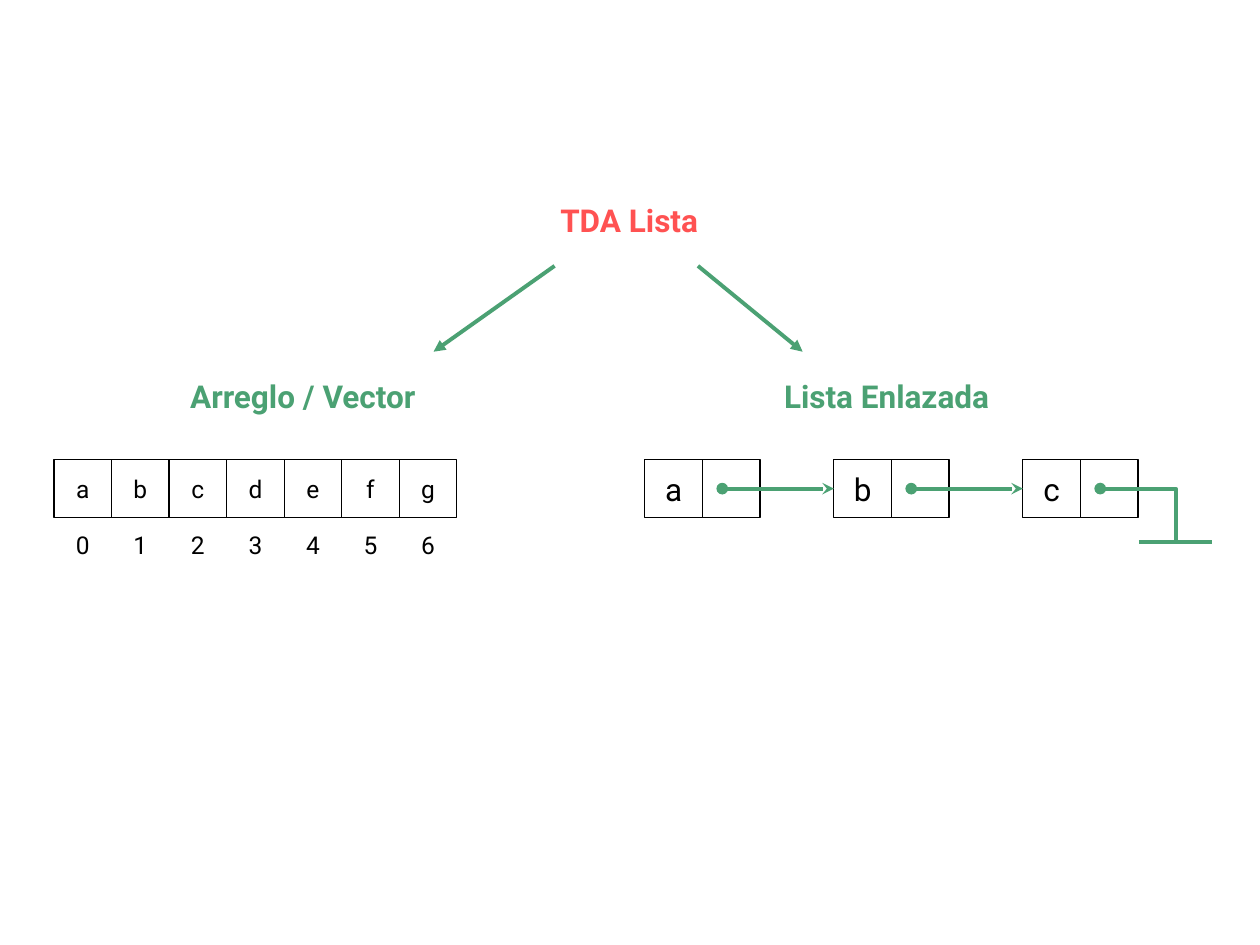
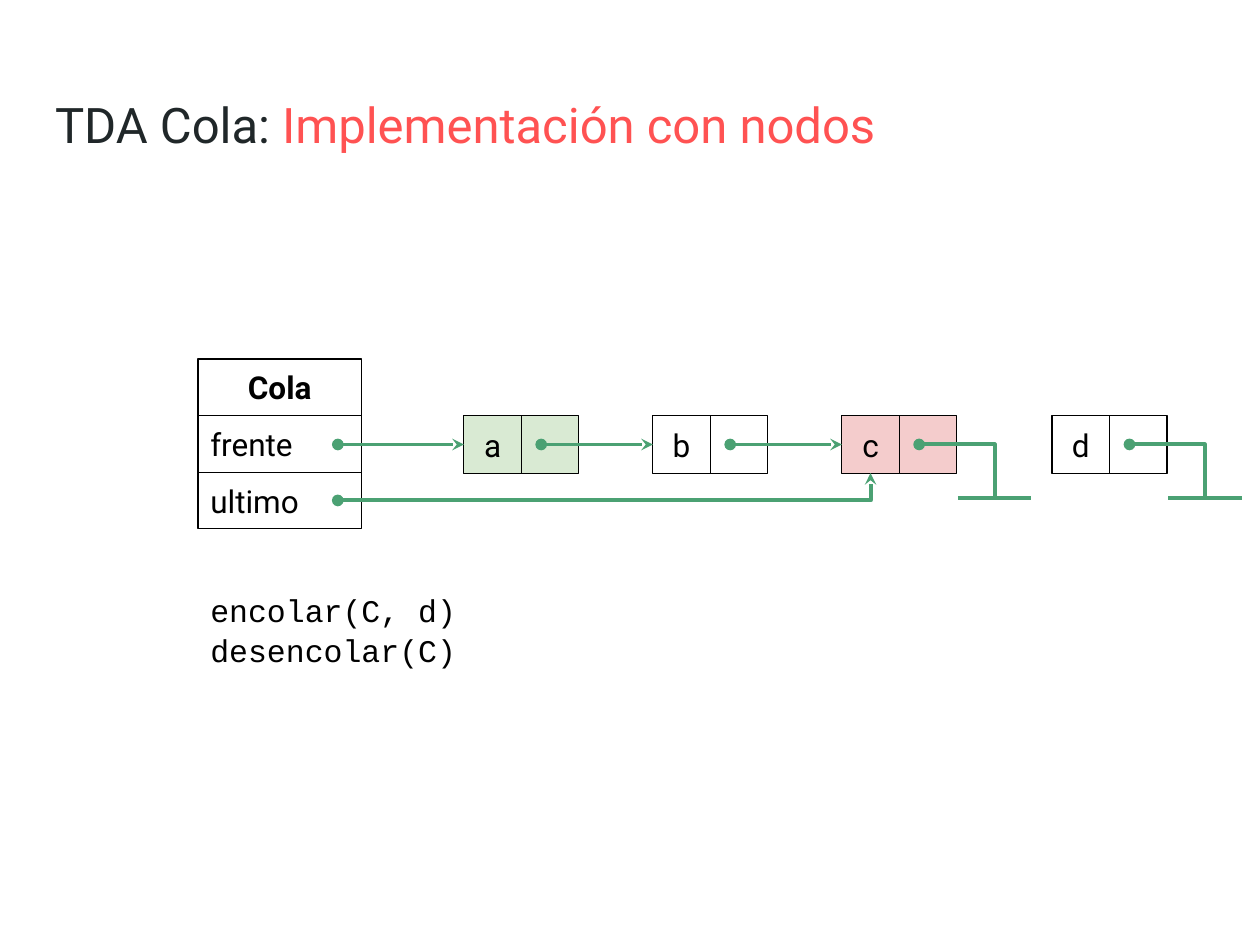
from lxml import etree
from pptx import Presentation
from pptx import util as u
from pptx.dml.color import RGBColor
from pptx.enum import shapes, text
from pptx.oxml.ns import qn

# ---- Content (lengths in cm) ----
COLORS = {
    "ink": "000000", "title": "202729", "green": "4BA173", "red": "FF5252",
    "white": "FFFFFF", "front": "D9EAD3", "last": "F4CCCC",
}
FONT, CODE_FONT = "Roboto", "Courier New"

HEADINGS = [  # text, left, top, width, colour
    ("TDA Lista", 8.61, 4.04, 8.15, "red"),
    ("Arreglo / Vector", 2.03, 7.59, 8.15, "green"),
    ("Lista Enlazada", 13.0, 7.59, 9.75, "green"),
]
BRANCHES = [((11.18, 5.36), (8.74, 7.09)), ((14.07, 5.36), (16.18, 7.09))]
ARRAY_VALUES = "abcdefg"
LINKED_NODES = [("a", "white"), ("b", "white"), ("c", "white")]

QUEUE_TITLE = [("TDA Cola: ", "title"), ("Implementación con nodos", "red")]
QUEUE_ROWS = ["Cola", "frente", "ultimo"]
QUEUE_NODES = [("a", "front"), ("b", "white"), ("c", "last")]
NEW_NODE = [("d", "white")]
OPERATIONS = ["encolar(C, d)", "desencolar(C)"]

# ---- Measures ----
CELL = 1.16
NODE_STEP = 3.81
POINTER_INSET = 0.4
GROUND_DX, GROUND_DY, GROUND_HALF = 1.52, 1.07, 0.74
ARRAY_LEFT, LINKED_LEFT, LISTS_TOP = 1.09, 13.0, 9.27
QUEUE_LEFT, QUEUE_TOP, QUEUE_WIDTH, ROW_HEIGHT = 3.99, 7.24, 3.3, 1.14
QUEUE_NODES_LEFT, NEW_NODE_LEFT, QUEUE_NODES_TOP = 9.35, 21.21, 8.38
QUEUE_POINTER_X = 6.81


# ---- Text and boxes ----
def rgb(name):
    return RGBColor.from_string(COLORS[name])


def add_run(paragraph, words, size, color="ink", font=FONT, bold=False):
    run = paragraph.add_run()
    run.text = words
    run.font.size, run.font.name, run.font.bold = u.Pt(size), font, bold
    run.font.color.rgb = rgb(color)


def prepare_frame(frame, anchor):
    frame.word_wrap = True
    frame.auto_size = text.MSO_AUTO_SIZE.NONE
    frame.vertical_anchor = anchor
    frame.margin_left = frame.margin_right = u.Cm(0.25)
    frame.margin_top = frame.margin_bottom = u.Cm(0.25)


def add_box(slide, at, words="", size=18, color="ink", fill=None, outlined=True,
            align=text.PP_ALIGN.CENTER, bold=False):
    box = slide.shapes.add_shape(shapes.MSO_SHAPE.RECTANGLE, *map(u.Cm, at))
    box.shadow.inherit = False
    if fill:
        box.fill.solid()
        box.fill.fore_color.rgb = rgb(fill)
    else:
        box.fill.background()
    if outlined:
        box.line.color.rgb = rgb("ink")
        box.line.width = u.Pt(0.75)
    else:
        box.line.fill.background()
    if words:
        prepare_frame(box.text_frame, text.MSO_ANCHOR.MIDDLE)
        paragraph = box.text_frame.paragraphs[0]
        paragraph.alignment = align
        add_run(paragraph, words, size, color, bold=bold)
    return box


def add_label(slide, at, lines, size, font=FONT, align=text.PP_ALIGN.LEFT, spacing=1.0):
    frame = slide.shapes.add_textbox(*map(u.Cm, at)).text_frame
    prepare_frame(frame, text.MSO_ANCHOR.TOP)
    for i, line in enumerate(lines):
        paragraph = frame.add_paragraph() if i else frame.paragraphs[0]
        paragraph.alignment, paragraph.line_spacing = align, spacing
        add_run(paragraph, line, size, font=font)


# ---- Lines ----
def style_line(shape, head=None, tail=None):
    shape.line.color.rgb = rgb("green")
    shape.line.width = u.Pt(2.25)
    ln = shape.line._get_or_add_ln()
    for tag, kind in (("a:headEnd", head), ("a:tailEnd", tail)):
        if kind:
            etree.SubElement(ln, qn(tag), type=kind, w="med", len="med")


def add_link(slide, start, end, head=None, tail=None,
             kind=shapes.MSO_CONNECTOR.STRAIGHT):
    link = slide.shapes.add_connector(kind, *map(u.Cm, start + end))
    style_line(link, head, tail)
    etree.SubElement(link._element.spPr, qn("a:effectLst"))
    return link


def point_to(slide, start, cell, end):
    """Pointer from a dot to the left side of a cell."""
    add_link(slide, start, end, "oval", "stealth").end_connect(cell, 1)


def add_null(slide, x, y):
    """Pointer that bends down to a ground line."""
    ground_x, ground_y = x + GROUND_DX, y + GROUND_DY
    builder = slide.shapes.build_freeform(u.Cm(x), u.Cm(y))
    builder.add_line_segments(
        [(u.Cm(ground_x), u.Cm(y)), (u.Cm(ground_x), u.Cm(ground_y))], close=False)
    bend = builder.convert_to_shape()
    bend.shadow.inherit = False
    bend.fill.background()
    style_line(bend, head="oval")
    add_link(slide, (ground_x - GROUND_HALF, ground_y), (ground_x + GROUND_HALF, ground_y))


def add_linked_list(slide, nodes, left, top):
    """Draw value and pointer cells, link them, and return the value cells."""
    lefts = [left + i * NODE_STEP for i in range(len(nodes))]
    cells = []
    for x, (value, fill) in zip(lefts, nodes):
        cells.append(add_box(slide, (x, top, CELL, CELL), value, fill=fill))
        add_box(slide, (x + CELL, top, CELL, CELL), fill=fill)
    middle = top + CELL / 2
    dots = [x + CELL + POINTER_INSET for x in lefts]
    for dot, next_left, next_cell in zip(dots, lefts[1:], cells[1:]):
        point_to(slide, (dot, middle), next_cell, (next_left, middle))
    add_null(slide, dots[-1], middle)
    return cells


# ---- Slides ----
def build_list_slide(prs):
    slide = prs.slides.add_slide(prs.slide_layouts[6])
    for words, left, top, width, color in HEADINGS:
        add_box(slide, (left, top, width, 0.79), words, color=color, fill="white",
                outlined=False, bold=True)
    for start, end in BRANCHES:
        add_link(slide, start, end, tail="triangle")

    # Array with its indices
    for i, value in enumerate(ARRAY_VALUES):
        x = ARRAY_LEFT + i * CELL
        add_box(slide, (x, LISTS_TOP, CELL, CELL), value, size=14, fill="white")
        add_label(slide, (x, LISTS_TOP + CELL, CELL, 1.04), [str(i)], 14,
                  align=text.PP_ALIGN.CENTER)

    add_linked_list(slide, LINKED_NODES, LINKED_LEFT, LISTS_TOP)


def build_queue_slide(prs):
    slide = prs.slides.add_slide(prs.slide_layouts[5])
    title = slide.shapes.title
    title.left, title.top, title.width, title.height = map(u.Cm, (0.86, 1.65, 23.67, 2.11))
    prepare_frame(title.text_frame, text.MSO_ANCHOR.TOP)
    heading = title.text_frame.paragraphs[0]
    heading.alignment = text.PP_ALIGN.LEFT
    for words, color in QUEUE_TITLE:
        add_run(heading, words, 28, color)

    # Queue record
    for i, field in enumerate(QUEUE_ROWS):
        is_name = i == 0
        add_box(slide, (QUEUE_LEFT, QUEUE_TOP + i * ROW_HEIGHT, QUEUE_WIDTH, ROW_HEIGHT),
                field, bold=is_name,
                align=text.PP_ALIGN.CENTER if is_name else text.PP_ALIGN.LEFT)

    # Nodes
    cells = add_linked_list(slide, QUEUE_NODES, QUEUE_NODES_LEFT, QUEUE_NODES_TOP)
    add_linked_list(slide, NEW_NODE, NEW_NODE_LEFT, QUEUE_NODES_TOP)

    # Pointers to the front and last nodes
    front_y = QUEUE_NODES_TOP + CELL / 2
    point_to(slide, (QUEUE_POINTER_X, front_y), cells[0], (QUEUE_NODES_LEFT, front_y))
    last_x = QUEUE_NODES_LEFT + (len(cells) - 1) * NODE_STEP + CELL / 2
    last_y = QUEUE_TOP + 2.5 * ROW_HEIGHT
    last_link = add_link(slide, (QUEUE_POINTER_X, last_y), (last_x, QUEUE_NODES_TOP + CELL),
                         "oval", "stealth", shapes.MSO_CONNECTOR.ELBOW)
    last_link._element.spPr.find(qn("a:prstGeom")).set("prst", "bentConnector2")
    last_link.end_connect(cells[-1], 2)

    add_label(slide, (QUEUE_LEFT, 11.61, 6.3, 2.11), OPERATIONS, 18, CODE_FONT, spacing=1.07)


def main():
    prs = Presentation()
    prs.slide_width, prs.slide_height = u.Cm(25.4), u.Cm(19.05)
    build_list_slide(prs)
    build_queue_slide(prs)
    prs.save("out.pptx")


if __name__ == "__main__":
    main()
